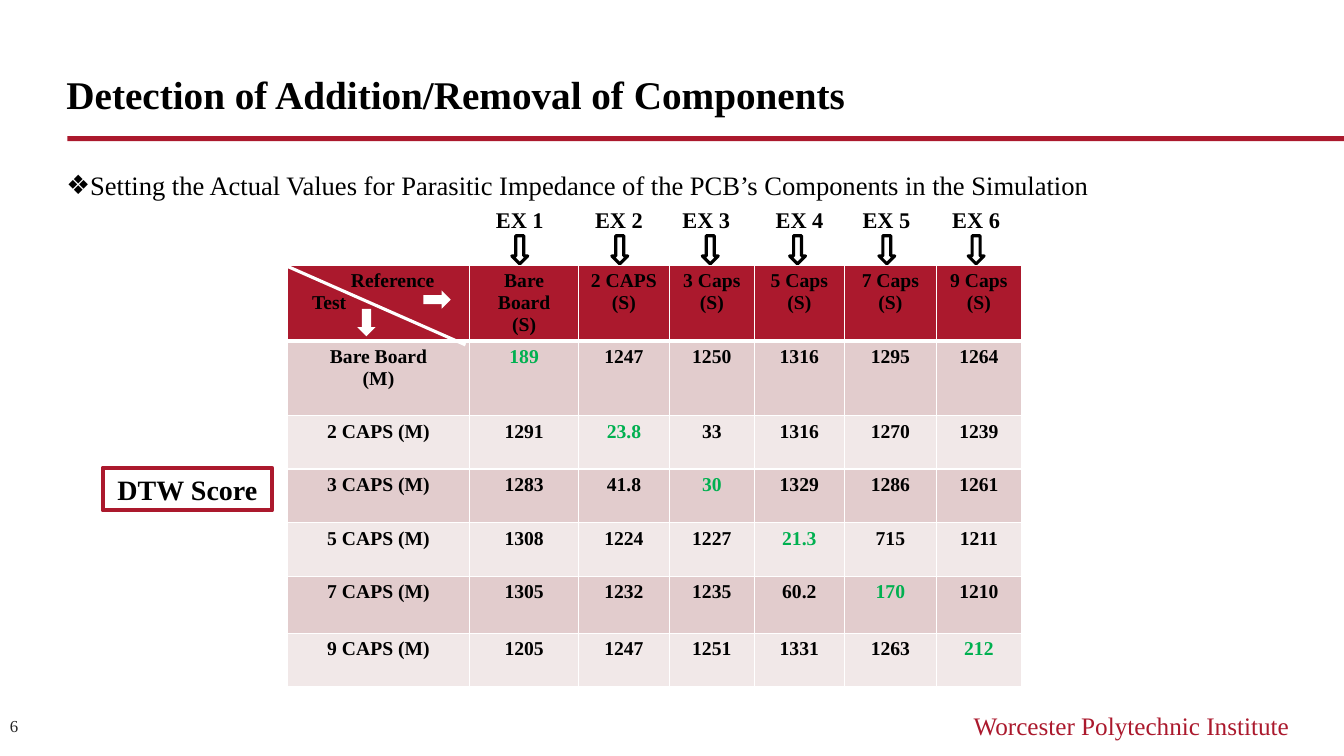
import pptx
import pptx.dml.color
import pptx.enum.shapes
import pptx.enum.text
import pptx.oxml
import pptx.oxml.ns
import pptx.util
from pptx.util import Cm

FONT = "Times New Roman"
COLOURS = {
    "crimson": "AB192D", "black": "000000", "white": "FFFFFF", "green": "00B050",
    "grey": "262626", "dark band": "E2CCCD", "light band": "F1E8E8",
}
Shape = pptx.enum.shapes.MSO_SHAPE
Align = pptx.enum.text.PP_ALIGN
Anchor = pptx.enum.text.MSO_ANCHOR

HEADERS = ["Reference\nTest", "Bare Board\n(S)", "2 CAPS (S)", "3 Caps\n(S)",
           "5 Caps\n(S)", "7 Caps\n(S)", "9 Caps\n(S)"]
SCORES = [
    ["Bare Board\n(M)", "189", "1247", "1250", "1316", "1295", "1264"],
    ["2 CAPS (M)", "1291", "23.8", "33", "1316", "1270", "1239"],
    ["3 CAPS (M)", "1283", "41.8", "30", "1329", "1286", "1261"],
    ["5 CAPS (M)", "1308", "1224", "1227", "21.3", "715", "1211"],
    ["7 CAPS (M)", "1305", "1232", "1235", "60.2", "170", "1210"],
    ["9 CAPS (M)", "1205", "1247", "1251", "1331", "1263", "212"],
]
COLUMN_WIDTHS = [4.6, 2.74, 2.29, 2.14, 2.27, 2.32, 2.14]
ROW_HEIGHTS = [1.9, 1.88, 1.35, 1.35, 1.35, 1.44, 1.35]
LABEL_CENTRES = [13.1, 15.6, 17.8, 20.15, 22.34, 24.6]
ARROW_CENTRES = [13.1, 15.62, 17.9, 20.1, 22.35, 24.6]


def rgb(name):
    return pptx.dml.color.RGBColor.from_string(COLOURS[name])


def write(frame, text, size, colour="black", bold=False, align=Align.LEFT):
    """Fill a text frame and format all of its runs alike."""
    frame.text = text
    for para in frame.paragraphs:
        para.alignment = align
        for span in para.runs:
            span.font.name = FONT
            span.font.size = pptx.util.Pt(size)
            span.font.bold = bold
            span.font.color.rgb = rgb(colour)


def place(shape, left, top, width, height):
    shape.left, shape.top = Cm(left), Cm(top)
    shape.width, shape.height = Cm(width), Cm(height)


def add_text(page, bounds, text, size, wrap=True, anchor=Anchor.TOP, **style):
    box = page.shapes.add_textbox(*map(Cm, bounds))
    box.text_frame.word_wrap = wrap
    box.text_frame.vertical_anchor = anchor
    write(box.text_frame, text, size, **style)


def add_block(page, kind, bounds, fill=None, line=None, line_width=1):
    block = page.shapes.add_shape(kind, *map(Cm, bounds))
    block.shadow.inherit = False
    if fill:
        block.fill.solid()
        block.fill.fore_color.rgb = rgb(fill)
    else:
        block.fill.background()
    if line:
        block.line.color.rgb = rgb(line)
        block.line.width = pptx.util.Pt(line_width)
    else:
        block.line.fill.background()
    return block


def set_indent(para, left, first=0):
    properties = para._p.get_or_add_pPr()
    properties.set("marL", str(Cm(left)))
    properties.set("indent", str(Cm(first)))
    return properties


def set_borders(cell, top, bottom):
    """Draw white cell borders, with top and bottom widths in points."""
    properties = cell._tc.get_or_add_tcPr()
    widths = {"lnL": 1, "lnR": 1, "lnT": top, "lnB": bottom}
    for index, (side, width) in enumerate(widths.items()):
        properties.insert(index, pptx.oxml.parse_xml(
            f'<a:{side} {pptx.oxml.ns.nsdecls("a")} w="{pptx.util.Pt(width)}">'
            f'<a:solidFill><a:srgbClr val="{COLOURS["white"]}"/></a:solidFill></a:{side}>'))


def add_title(page):
    title = page.shapes.title
    place(title, 1.42, 0.03, 32.4, 3.05)
    title.text_frame.vertical_anchor = Anchor.BOTTOM
    write(title.text_frame, "Detection of Addition/Removal of Components", 28, bold=True)


def add_bullet(page):
    body = page.placeholders[1]
    place(body, 1.42, 3.33, 29, 1.3)
    frame = body.text_frame
    frame.word_wrap = False
    frame.auto_size = pptx.enum.text.MSO_AUTO_SIZE.NONE
    write(frame, "Setting the Actual Values for Parasitic Impedance of the PCB’s "
                 "Components in the Simulation", 19)
    para = frame.paragraphs[0]
    para.line_spacing = 2.0
    para.space_before = pptx.util.Pt(0)
    set_indent(para, 0.6, -0.6).append(pptx.oxml.parse_xml(
        f'<a:buChar {pptx.oxml.ns.nsdecls("a")} char="❖"/>'))


def add_score_table(page):
    rows = [HEADERS, *SCORES]
    frame = page.shapes.add_table(len(rows), len(HEADERS), Cm(7.24), Cm(6.69),
                                  Cm(sum(COLUMN_WIDTHS)), Cm(sum(ROW_HEIGHTS)))
    table = frame.table
    table.horz_banding = False
    for column, width in zip(table.columns, COLUMN_WIDTHS):
        column.width = Cm(width)
    for row, height in zip(table.rows, ROW_HEIGHTS):
        row.height = Cm(height)
    for i, row in enumerate(rows):
        band = "crimson" if i == 0 else "dark band" if i % 2 else "light band"
        for j, text in enumerate(row):
            cell = table.cell(i, j)
            colour = "green" if i == j and i > 0 else "black"
            write(cell.text_frame, text, 14, colour, True, Align.CENTER)
            cell.fill.solid()
            cell.fill.fore_color.rgb = rgb(band)
            set_borders(cell, 3 if i == 1 else 1, 3 if i == 0 else 1)
    for para, indent in zip(table.cell(0, 0).text_frame.paragraphs, (1.35, 0.37)):
        para.alignment = Align.LEFT
        set_indent(para, indent)


def add_corner_marks(page):
    """Split the corner cell and point along its row and column."""
    add_block(page, Shape.RIGHT_ARROW, (10.67, 7.32, 0.69, 0.46), "white")
    down = add_block(page, Shape.RIGHT_ARROW, (8.89, 7.9, 0.69, 0.46), "white")
    down.rotation = 90
    diagonal = page.shapes.add_connector(pptx.enum.shapes.MSO_CONNECTOR.STRAIGHT,
                                         Cm(7.24), Cm(6.71), Cm(11.73), Cm(8.69))
    diagonal.line.color.rgb = rgb("white")
    diagonal.line.width = pptx.util.Pt(2.25)
    diagonal._element.spPr.append(pptx.oxml.parse_xml(
        f'<a:effectLst {pptx.oxml.ns.nsdecls("a")}/>'))


def add_experiment_labels(page):
    centres = zip(LABEL_CENTRES, ARROW_CENTRES)
    for number, (label, arrow) in enumerate(centres, start=1):
        add_text(page, (label - 0.88, 5.07, 1.76, 0.86), f"EX {number}", 16,
                 wrap=False, bold=True, align=Align.CENTER)
        add_block(page, Shape.DOWN_ARROW, (arrow - 0.2, 5.94, 0.4, 0.71),
                  "white", "black", 2.25)


def add_score_label(page):
    label = add_block(page, Shape.RECTANGLE, (2.59, 11.79, 4.27, 1.07), None, "crimson", 3)
    label.text_frame.word_wrap = False
    label.text_frame.vertical_anchor = Anchor.MIDDLE
    write(label.text_frame, "DTW Score", 20, bold=True, align=Align.CENTER)


def main():
    deck = pptx.Presentation()
    deck.slide_width, deck.slide_height = Cm(33.87), Cm(19.05)
    page = deck.slides.add_slide(deck.slide_layouts[1])
    add_title(page)
    add_block(page, Shape.RECTANGLE, (1.7, 3.43, 32.17, 0.13), "crimson")
    add_bullet(page)
    add_score_table(page)
    add_corner_marks(page)
    add_score_label(page)
    add_experiment_labels(page)
    add_text(page, (20.32, 17.78, 12.42, 1.02), "Worcester Polytechnic Institute", 18,
             colour="crimson", align=Align.RIGHT)
    add_text(page, (0, 17.75, 1.7, 1.09), "6", 12, anchor=Anchor.MIDDLE, colour="grey")
    deck.save("out.pptx")


if __name__ == "__main__":
    main()
